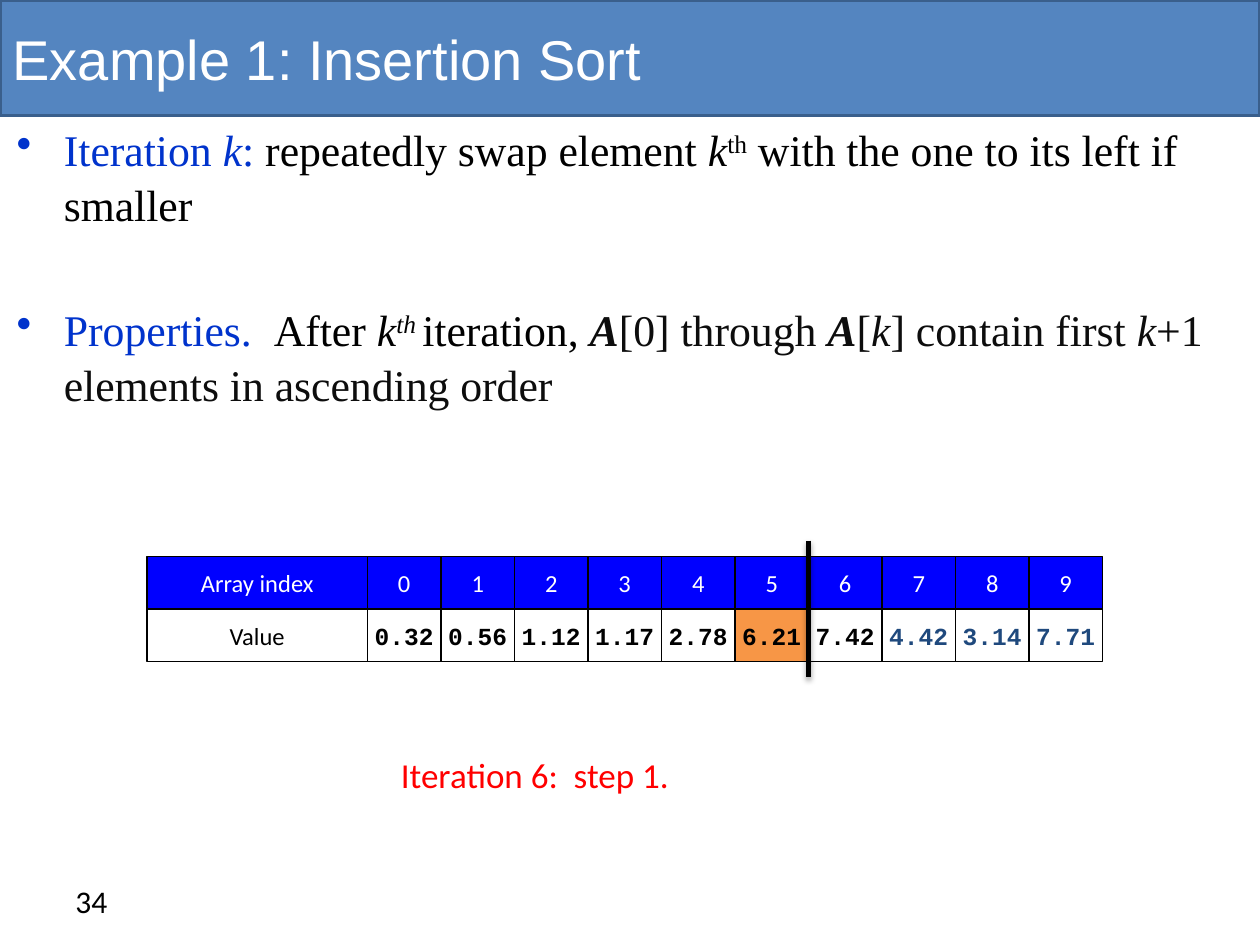
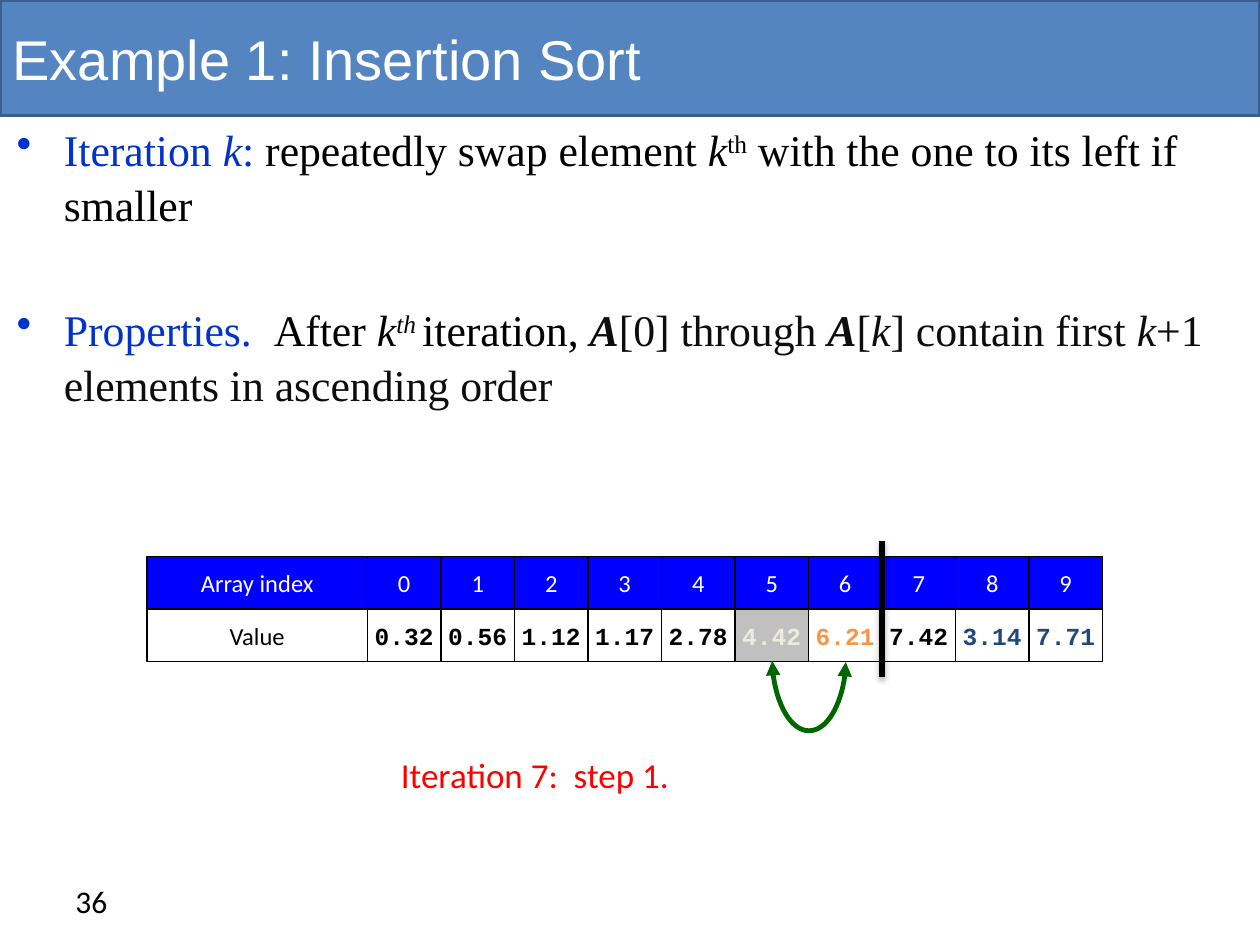
import pptx
import pptx.dml.color
import pptx.enum.shapes
import pptx.enum.text
import pptx.oxml
import pptx.oxml.ns
import pptx.util
from lxml import etree

RGBColor = pptx.dml.color.RGBColor
Pt = pptx.util.Pt
ALIGN = pptx.enum.text.PP_ALIGN
ANCHOR = pptx.enum.text.MSO_ANCHOR
SHAPE = pptx.enum.shapes.MSO_SHAPE
CONNECTOR = pptx.enum.shapes.MSO_CONNECTOR
qn = pptx.oxml.ns.qn

# Colours
WHITE = RGBColor(0xFF, 0xFF, 0xFF)
BLACK = RGBColor(0x00, 0x00, 0x00)
NEAR_BLACK = RGBColor(0x0D, 0x0D, 0x0D)
BAND = RGBColor(0x54, 0x85, 0xC0)
BAND_EDGE = RGBColor(0x3A, 0x5F, 0x8C)
INDEX_BLUE = RGBColor(0x00, 0x00, 0xFF)
LEAD_BLUE = RGBColor(0x00, 0x33, 0xCC)
UNSORTED = RGBColor(0x1F, 0x49, 0x7D)
ORANGE = RGBColor(0xF7, 0x96, 0x46)
GREY = RGBColor(0xC0, 0xC0, 0xC0)
CREAM = RGBColor(0xEE, 0xEC, 0xE1)
RED = RGBColor(0xFF, 0x00, 0x00)
GREEN = RGBColor(0x00, 0x66, 0x00)

# Slide and array geometry in px (120 px to the inch)
SCALE = 7620
SLIDE_WIDTH, SLIDE_HEIGHT, BAND_HEIGHT = 1200, 900, 110
ARRAY_LEFT, INDEX_TOP = 140, 530
LABEL_WIDTH, CELL_WIDTH, CELL_HEIGHT = 210, 70, 50
VALUE_TOP = INDEX_TOP + CELL_HEIGHT
CELLS_LEFT = ARRAY_LEFT + LABEL_WIDTH
DIVIDER_OVERHANG = 15

# Explanation: runs of (text, colour, style), b bold, i italic, ^ superscript
BULLETS = [
    [("Iteration ", LEAD_BLUE, ""), ("k", LEAD_BLUE, "i"), (": ", LEAD_BLUE, ""),
     ("repeatedly swap element ", BLACK, ""), ("k", BLACK, "i"), ("th", BLACK, "^"),
     (" with the one to its left if smaller", BLACK, "")],
    [("Properties.  ", LEAD_BLUE, ""), ("After ", BLACK, ""), ("k", BLACK, "i"),
     ("th ", BLACK, "i^"), ("iteration, ", BLACK, ""), ("A", NEAR_BLACK, "bi"),
     ("[0] through ", NEAR_BLACK, ""), ("A", NEAR_BLACK, "bi"), ("[", NEAR_BLACK, ""),
     ("k", NEAR_BLACK, "i"), ("] contain first ", NEAR_BLACK, ""),
     ("k", NEAR_BLACK, "i"), ("+1 elements in ascending order", NEAR_BLACK, "")],
]

# Per step: page, caption, values, sorted-part length, special cells, swapped pair
STEPS = [
    ("34", "Iteration 6:  step 1.",
     "0.32 0.56 1.12 1.17 2.78 6.21 7.42 4.42 3.14 7.71".split(), 6,
     {5: (ORANGE, BLACK)}, None),
    ("36", "Iteration 7:  step 1.",
     "0.32 0.56 1.12 1.17 2.78 4.42 6.21 7.42 3.14 7.71".split(), 7,
     {5: (GREY, CREAM), 6: (WHITE, ORANGE)}, (5, 6)),
]


def px(*lengths):
    return [pptx.util.Emu(length * SCALE) for length in lengths]


class Deck:
    def __init__(self):
        self.presentation = pptx.Presentation()
        size = px(SLIDE_WIDTH, SLIDE_HEIGHT)
        self.presentation.slide_width, self.presentation.slide_height = size
        self.slide = None

    def set_font(self, paragraph, name, size, color=None, bold=False):
        font = paragraph.font
        font.name, font.size, font.bold = name, Pt(size), bold
        if color is not None:
            font.color.rgb = color

    def set_box(self, shape, fill, edge, width):
        shape.fill.solid()
        shape.fill.fore_color.rgb = fill
        shape.line.color.rgb = edge
        shape.line.width = Pt(width)

    def add_titled_slide(self, text):
        layout = self.presentation.slide_layouts[5]
        self.slide = self.presentation.slides.add_slide(layout)
        title = self.slide.shapes.title
        title.left, title.top, title.width, title.height = px(0, 0, SLIDE_WIDTH, BAND_HEIGHT)
        self.set_box(title, BAND, BAND_EDGE, 2)
        title.text_frame.text = text
        title.text_frame.vertical_anchor = ANCHOR.MIDDLE
        paragraph = title.text_frame.paragraphs[0]
        paragraph.alignment = ALIGN.LEFT
        self.set_font(paragraph, "Arial", 32, WHITE)

    def text_frame(self, left, top, width, height):
        box = self.slide.shapes.add_textbox(*px(left, top, width, height))
        box.text_frame.word_wrap = True
        return box.text_frame

    def text(self, text, left, top, width, height, size, color):
        paragraph = self.text_frame(left, top, width, height).paragraphs[0]
        paragraph.text = text
        self.set_font(paragraph, "Calibri", size, color)

    def bullets(self, items, left, top, width, height):
        frame = self.text_frame(left, top, width, height)
        for number, runs in enumerate(items):
            paragraph = frame.add_paragraph() if number else frame.paragraphs[0]
            properties = paragraph._p.get_or_add_pPr()
            indent = px(45)[0]
            properties.set("marL", str(indent))
            properties.set("indent", str(-indent))
            etree.SubElement(properties, qn("a:buChar")).set("char", "•")
            paragraph.line_spacing = 1.05
            if number:
                paragraph.space_before = Pt(39.5)
            self.set_font(paragraph, "Times New Roman", 25)
            for text, color, style in runs:
                run = paragraph.add_run()
                run.text = text
                run.font.color.rgb = color
                run.font.bold = "b" in style
                run.font.italic = "i" in style
                if "^" in style:
                    run._r.get_or_add_rPr().set("baseline", "30000")

    def cell(self, text, left, top, width, fill, color, font="Calibri", bold=False):
        shape = self.slide.shapes.add_shape(
            SHAPE.RECTANGLE, *px(left, top, width, CELL_HEIGHT))
        shape.shadow.inherit = False
        self.set_box(shape, fill, BLACK, 0.75)
        frame = shape.text_frame
        frame.word_wrap = False
        frame.vertical_anchor = ANCHOR.MIDDLE
        paragraph = frame.paragraphs[0]
        paragraph.text = text
        paragraph.alignment = ALIGN.CENTER
        self.set_font(paragraph, font, 14, color, bold)
        return shape

    def array(self, values, sorted_count, special):
        self.cell("Array index", ARRAY_LEFT, INDEX_TOP, LABEL_WIDTH, INDEX_BLUE, WHITE)
        self.cell("Value", ARRAY_LEFT, VALUE_TOP, LABEL_WIDTH, WHITE, BLACK)
        value_cells = []
        for index, value in enumerate(values):
            left = CELLS_LEFT + index * CELL_WIDTH
            self.cell(str(index), left, INDEX_TOP, CELL_WIDTH, INDEX_BLUE, WHITE)
            usual = (WHITE, BLACK if index <= sorted_count else UNSORTED)
            fill, color = special.get(index, usual)
            value_cells.append(self.cell(value, left, VALUE_TOP, CELL_WIDTH, fill, color,
                                         "Courier New", True))
        return value_cells

    def connector(self, kind, start, end, color, width):
        line = self.slide.shapes.add_connector(kind, *px(*start, *end))
        line.line.color.rgb = color
        line.line.width = Pt(width)
        effects = etree.SubElement(line._element.spPr, qn("a:effectLst"))
        return line, effects

    def divider(self, sorted_count):
        x = CELLS_LEFT + sorted_count * CELL_WIDTH
        top = INDEX_TOP - DIVIDER_OVERHANG
        bottom = VALUE_TOP + CELL_HEIGHT + DIVIDER_OVERHANG
        _, effects = self.connector(CONNECTOR.STRAIGHT, (x, top), (x, bottom), BLACK, 3)
        shadow = etree.SubElement(effects, qn("a:outerShdw"), blurRad="40000",
                                  dist="23000", dir="5400000", rotWithShape="0")
        color = etree.SubElement(shadow, qn("a:srgbClr"), val=str(BLACK))
        etree.SubElement(color, qn("a:alpha"), val="35000")

    def swap_arrow(self, cells, pair, depth=67):
        first, second = pair
        bottom = VALUE_TOP + CELL_HEIGHT
        start, end = [CELLS_LEFT + index * CELL_WIDTH + CELL_WIDTH // 2 for index in pair]
        arrow, _ = self.connector(CONNECTOR.CURVE, (start, bottom), (end, bottom), GREEN, 2.75)
        arrow.begin_connect(cells[first], 2)
        arrow.end_connect(cells[second], 2)
        # A one-px-wide curve turned a quarter, so that it bulges downwards
        span = end - start
        arrow.left, arrow.top, arrow.width, arrow.height = px(
            (start + end) // 2, bottom - span // 2, 1, span)
        properties = arrow._element.spPr
        transform = properties.find(qn("a:xfrm"))
        transform.set("rot", "16200000")
        transform.set("flipH", "1")
        adjustments = properties.find(qn("a:prstGeom")).find(qn("a:avLst"))
        etree.SubElement(adjustments, qn("a:gd"), name="adj1", fmla=f"val {depth * 100000}")
        outline = properties.find(qn("a:ln"))
        for tag in ("a:headEnd", "a:tailEnd"):
            etree.SubElement(outline, qn(tag), type="triangle")


def main():
    deck = Deck()
    for page, caption, values, sorted_count, special, swapped in STEPS:
        deck.add_titled_slide("Example 1: Insertion Sort")
        deck.bullets(BULLETS, 4, 109, 1196, 302)
        cells = deck.array(values, sorted_count, special)
        if swapped:
            deck.swap_arrow(cells, swapped)
        deck.divider(sorted_count)
        deck.text(caption, 370, 712, 490, 53, 20, RED)
        deck.text(page, 60, 834, 280, 48, 18, BLACK)
    deck.presentation.save("out.pptx")


if __name__ == "__main__":
    main()
